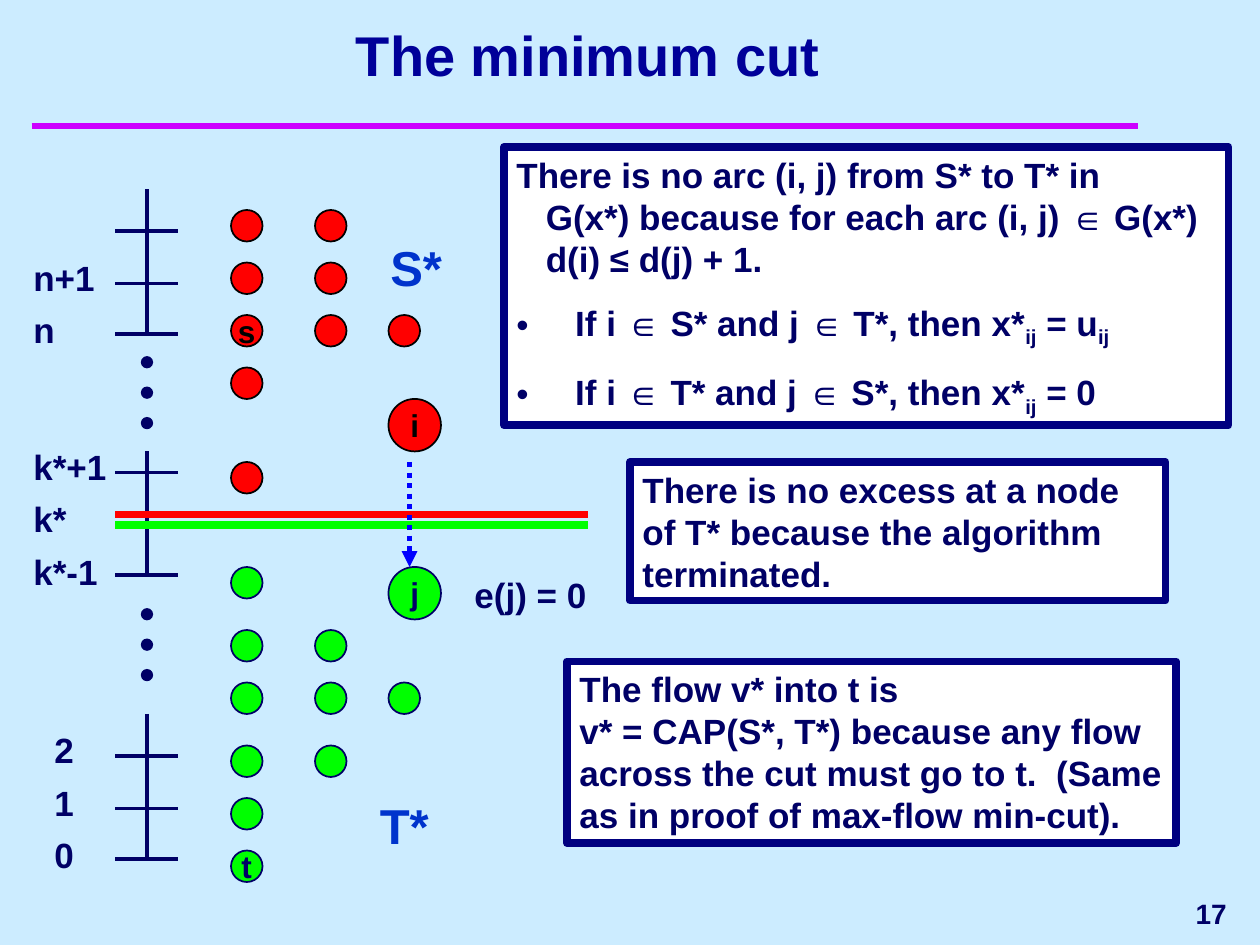
from pptx import Presentation
from pptx.dml.color import RGBColor
from pptx.enum.dml import MSO_LINE
from pptx.enum.shapes import MSO_CONNECTOR, MSO_SHAPE
from pptx.enum.text import MSO_ANCHOR, PP_ALIGN
from pptx.oxml.ns import qn
from pptx.util import Emu, Pt
from lxml.etree import SubElement

PX = 7620  # 120 px to the inch
FONT = "Arial"
COLORS = {
    "background": "CCECFF", "rule": "CC00FF", "title": "000099",
    "ink": "000066", "frame": "000080", "white": "FFFFFF",
    "source_side": "FF0000", "sink_side": "00FF00", "black": "000000",
    "set_name": "0033CC", "arc": "0000FF",
}


def px(*lengths):
    return [Emu(length * PX) for length in lengths]


def rgb(name):
    return RGBColor.from_string(COLORS[name])


def write_text(shape, paragraphs, size=20, color="ink", align=PP_ALIGN.LEFT,
               anchor=MSO_ANCHOR.TOP, wrap=True, space=12.5, indents=(), bullets=()):
    """Write paragraphs; '|' switches subscript on and off, a newline breaks the line."""
    frame = shape.text_frame
    frame.word_wrap = wrap
    frame.vertical_anchor = anchor
    for index, text in enumerate(paragraphs):
        paragraph = frame.add_paragraph() if index else frame.paragraphs[0]
        paragraph.alignment = align
        paragraph.space_before = Pt(space if index else 0)
        properties = paragraph._p.get_or_add_pPr()
        if indents:
            hanging = indents[index] * PX
            properties.set("marL", str(hanging))
            properties.set("indent", str(-hanging))
        if index in bullets:
            SubElement(properties, qn("a:buFont")).set("typeface", FONT)
            SubElement(properties, qn("a:buChar")).set("char", "•")
        for part_index, part in enumerate(text.split("|")):
            for line_index, line in enumerate(part.split("\n")):
                if line_index:
                    paragraph.add_line_break()
                run = paragraph.add_run()
                run.text = line
                run.font.name, run.font.size, run.font.bold = FONT, Pt(size), True
                run.font.color.rgb = rgb(color)
                if part_index % 2:
                    run._r.get_or_add_rPr().set("baseline", "-25000")


def add_label(shapes, text, left, top, width, height=53, **text_format):
    box = shapes.add_textbox(*px(left, top, width, height))
    write_text(box, [text], **text_format)


def add_filled(shapes, kind, bounds, fill, line, line_width):
    shape = shapes.add_shape(kind, *px(*bounds))
    shape.shadow.inherit = False
    shape.fill.solid()
    shape.fill.fore_color.rgb = rgb(fill)
    shape.line.color.rgb = rgb(line)
    shape.line.width = Pt(line_width)
    return shape


def add_note(shapes, bounds, paragraphs, **text_format):
    note = add_filled(shapes, MSO_SHAPE.RECTANGLE, bounds, "white", "frame", 4.5)
    write_text(note, paragraphs, **text_format)


def add_node(shapes, left, top, fill, diameter=30, name=""):
    outline = "black" if fill == "source_side" else "ink"
    node = add_filled(shapes, MSO_SHAPE.OVAL, (left, top, diameter, diameter),
                      fill, outline, 1)
    if name:
        write_text(node, [name], size=18, color=outline, align=PP_ALIGN.CENTER,
                   anchor=MSO_ANCHOR.MIDDLE, wrap=False)


def add_line(shapes, start, end, color="ink", width=2.25):
    line = shapes.add_connector(MSO_CONNECTOR.STRAIGHT, *px(*start, *end))
    line.line.color.rgb = rgb(color)
    line.line.width = Pt(width)
    SubElement(line._element.spPr, qn("a:effectLst"))
    return line


def add_dotted_arrow(shapes, start, end, color):
    arrow = add_line(shapes, start, end, color, 3)
    arrow.line.dash_style = MSO_LINE.ROUND_DOT
    SubElement(arrow.line._get_or_add_ln(), qn("a:tailEnd")).set("type", "triangle")


def add_distance_axis(shapes):
    # Three axis pieces, each with its ticks
    for top, ticks in ((180, (220, 270, 318)), (430, (450, 548)), (680, (720, 770, 818))):
        add_line(shapes, (140, top), (140, ticks[-1]))
        for y in ticks:
            add_line(shapes, (110, y), (170, y))
    # Dots for the levels left out
    for top in (340, 580):
        for step in range(3):
            add_filled(shapes, MSO_SHAPE.OVAL, (135, top + 29 * step, 10, 10),
                       "ink", "ink", 1)
    # Level names, 50 px apart within each piece
    for left, top, names in ((20, 238, ("n+1", "n")), (20, 418, ("k*+1", "k*", "k*-1")),
                             (40, 688, ("2", "1", "0"))):
        for step, name in enumerate(names):
            add_label(shapes, name, left, top + 50 * step, 110)


def add_node_rows(shapes):
    columns = (220, 300, 370)
    # Top of each row and its number of nodes
    sides = {
        "source_side": ((200, 2), (250, 2), (300, 3), (350, 1), (440, 1)),
        "sink_side": ((540, 1), (600, 2), (650, 3), (710, 2), (760, 1), (810, 1)),
    }
    terminals = {(220, 300): "s", (220, 810): "t"}
    for side, rows in sides.items():
        for top, count in rows:
            for left in columns[:count]:
                add_node(shapes, left, top, side, name=terminals.get((left, top), ""))
    for name, left, top in (("S*", 360, 220), ("T*", 350, 752)):
        add_label(shapes, name, left, top, 100, 68, size=28, color="set_name")


def main():
    presentation = Presentation()
    presentation.slide_width, presentation.slide_height = px(1200, 900)
    slide = presentation.slides.add_slide(presentation.slide_layouts[5])
    slide.background.fill.solid()
    slide.background.fill.fore_color.rgb = rgb("background")
    shapes = slide.shapes

    # Title, rule and page number
    title = shapes.title
    title.left, title.top, title.width, title.height = px(50, 20, 1020, 70)
    write_text(title, ["The minimum cut"], size=32, color="title",
               align=PP_ALIGN.CENTER, anchor=MSO_ANCHOR.BOTTOM)
    add_line(shapes, (30, 120), (1084, 120), "rule", 4)
    add_label(shapes, "17", 950, 840, 230, 60, size=16, align=PP_ALIGN.RIGHT,
              anchor=MSO_ANCHOR.MIDDLE)

    # Notes on the cut
    add_note(shapes, (480, 140, 690, 265), [
        "There is no arc (i, j) from S* to T* in \n"
        "G(x*) because for each arc (i, j) ∈ G(x*) \nd(i) ≤ d(j) + 1.",
        "If i ∈ S* and j ∈ T*, then x*|ij| = u|ij",
        "If i ∈ T* and j ∈ S*, then x*|ij| = 0",
    ], indents=(28, 56, 56), bullets=(1, 2))
    add_note(shapes, (600, 440, 510, 132), [
        "There is no excess at a node of T* because the algorithm terminated."])
    add_note(shapes, (540, 630, 580, 173), [
        "The flow v* into t is \nv* = CAP(S*, T*) because any flow across the cut "
        "must go to t.  (Same as in proof of max-flow min-cut)."])

    # Distance levels, nodes and the cut between them
    diagram = shapes.add_group_shape().shapes
    add_distance_axis(diagram)
    add_line(diagram, (110, 490), (560, 490), "source_side", 4.5)
    add_line(diagram, (110, 500), (560, 500), "sink_side", 4.5)
    add_node_rows(diagram)

    # Arc (i, j) across the cut
    arc = shapes.add_group_shape().shapes
    add_node(arc, 370, 380, "source_side", 50, "i")
    add_node(arc, 370, 540, "sink_side", 50, "j")
    add_dotted_arrow(arc, (390, 440), (390, 540), "arc")
    add_label(arc, "e(j) = 0", 440, 540, 140)

    presentation.save("out.pptx")


if __name__ == "__main__":
    main()
